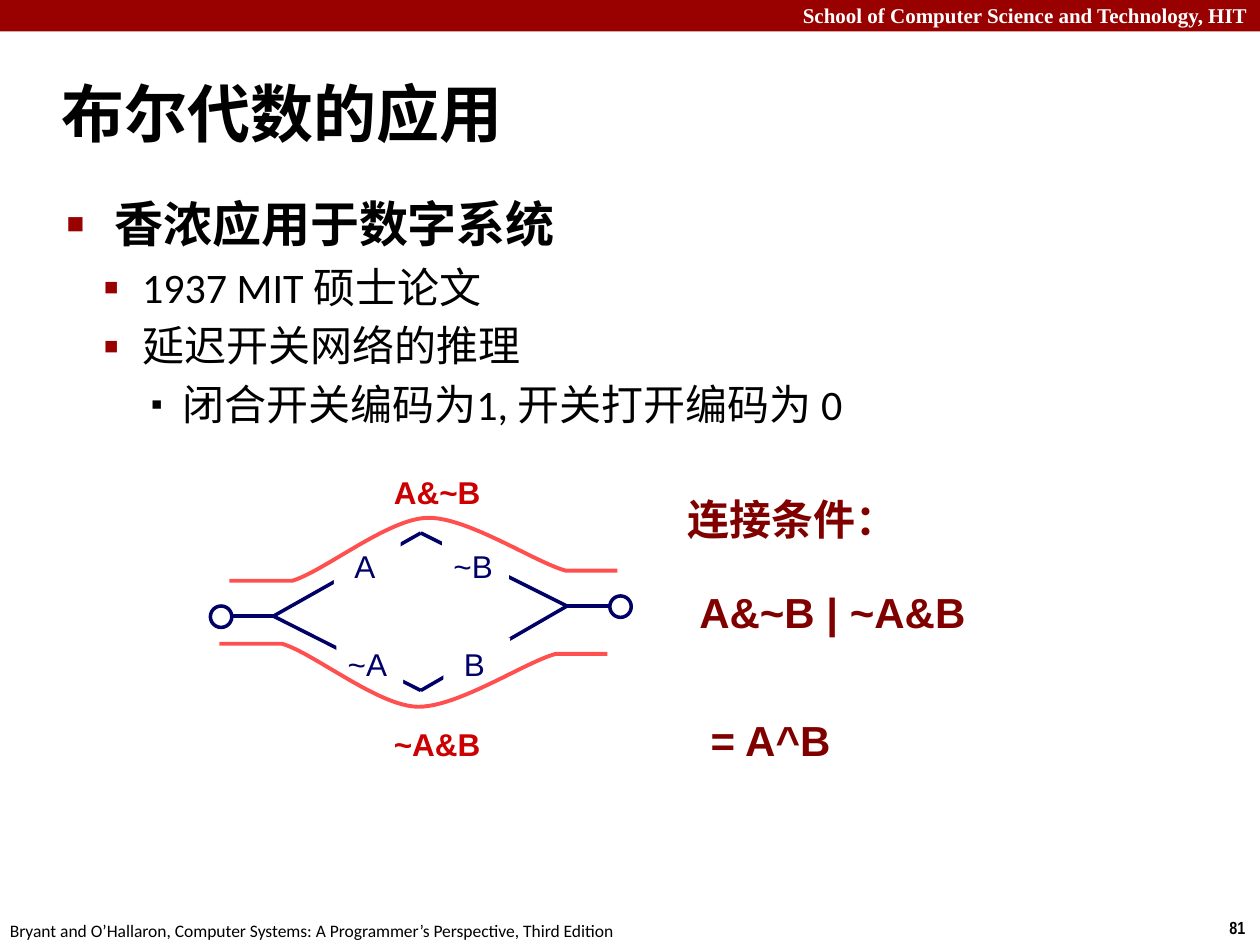
from lxml.etree import SubElement
from pptx import Presentation
from pptx.dml.color import RGBColor
from pptx.enum.shapes import MSO_CONNECTOR, MSO_SHAPE
from pptx.enum.text import MSO_ANCHOR, PP_ALIGN
from pptx.oxml.ns import qn
from pptx.util import Inches, Pt

COLORS = {"crimson": "990000", "white": "FFFFFF", "black": "000000", "navy": "000066",
          "path": "FF5050", "red": "CC0000", "maroon": "800000"}
LEFT, CENTER, RIGHT = PP_ALIGN.LEFT, PP_ALIGN.CENTER, PP_ALIGN.RIGHT
NORMAL_INSETS = (0.1, 0.05, 0.1, 0.05)
LABEL_INSETS = (0.06, 0.06, 0.05, 0.06)
SWITCH_INSETS = (0.06, 0.06, 0.1, 0.06)

BODY_FONT = {"name": "Calibri", "size": 24, "color": "black", "bold": False}
HEADING_FONT = {**BODY_FONT, "size": 28, "bold": True}
TITLE_FONT = {**BODY_FONT, "size": 36, "bold": True}
FOOTER_FONT = {**BODY_FONT, "size": 10}
PAGE_FONT = {"name": "Arial Narrow", "size": 10, "color": "black", "bold": True}
SCHOOL_FONT = {"name": "Times New Roman", "size": 12, "color": "white", "bold": True}
SWITCH_FONT = {"name": "Arial", "size": 18, "color": "navy", "bold": False}
PATH_FONT = {"name": "Arial", "size": 18, "color": "red", "bold": True}
RESULT_FONT = {"name": "Arial", "size": 24, "color": "maroon", "bold": True}

LABELS = [
    ("School of Computer Science and Technology, HIT", (0, -0.03, 10, 0.3), SCHOOL_FONT, RIGHT, NORMAL_INSETS, True),
    ("81", (9.66, 7.23, 0.34, 0.27), PAGE_FONT, LEFT, NORMAL_INSETS, False),
    ("Bryant and O’Hallaron, Computer Systems: A Programmer’s Perspective, Third Edition",
     (-0.02, 7.25, 5.08, 0.27), FOOTER_FONT, LEFT, NORMAL_INSETS, False),
    ("A&~B", (3.06, 3.69, 0.81, 0.42), PATH_FONT, CENTER, LABEL_INSETS, False),
    ("~A&B", (3.06, 5.69, 0.81, 0.42), PATH_FONT, CENTER, LABEL_INSETS, False),
    ("= A^B", (5.57, 5.61, 1.08, 0.51), RESULT_FONT, CENTER, LABEL_INSETS, False),
]
BULLETS = [
    ("香浓应用于数字系统", 0, HEADING_FONT),
    ("1937 MIT 硕士论文", 1, BODY_FONT),
    ("延迟开关网络的推理", 1, BODY_FONT),
    ("闭合开关编码为1, 开关打开编码为 0", 2, BODY_FONT),
]
LEVELS = [
    {"margin": 0.38, "indent": -0.38, "mark": "■", "scale": 60, "color": "crimson"},
    {"margin": 0.6, "indent": -0.31, "mark": "▪", "scale": 110, "color": "crimson"},
    {"margin": 0.92, "indent": -0.25, "mark": "▪", "scale": 80, "color": "black"},
]
CONDITIONS = [("连接条件：", 0, 0), ("A&~B | ~A&B", 0.09, 24)]

WEST, EAST, NORTH, SOUTH = (2.17, 4.89), (4.5, 4.81), (3.34, 4.23), (3.34, 5.48)
WIRES = [(WEST, NORTH), (WEST, SOUTH), (NORTH, EAST), (SOUTH, EAST),
         (EAST, (4.84, 4.81)), ((1.84, 4.89), WEST)]
SWITCHES = [("A", 2.65, 4.28), ("~A", 2.67, 5.06), ("~B", 3.51, 4.28), ("B", 3.52, 5.06)]
TERMINALS = [(1.67, 4.81), (4.84, 4.73)]
PATH_CURVES = [
    [(0.5, 0), (0.76, -0.08), (1.27, -0.5), (1.58, -0.5)],
    [(1.58, -0.5), (1.9, -0.5), (2.42, -0.15), (2.67, -0.08)],
]
PATHS = [(1.82, 4.61, 1), (1.74, 5.11, -1)]
CURVE_STEPS = 24


def color(name):
    return RGBColor.from_string(COLORS[name])


def inches(values):
    return [Inches(value) for value in values]


def write(paragraph, text, font, align=LEFT):
    paragraph.alignment = align
    run = paragraph.add_run()
    run.text = text
    formats = {"name": font["name"], "size": Pt(font["size"]), "bold": font["bold"]}
    for attribute, value in formats.items():
        setattr(run.font, attribute, value)
    run.font.color.rgb = color(font["color"])


def set_frame(shape, insets, wrap=True, anchor=MSO_ANCHOR.TOP):
    frame = shape.text_frame
    sides = ("margin_left", "margin_top", "margin_right", "margin_bottom")
    formats = {"word_wrap": wrap, "vertical_anchor": anchor, **dict(zip(sides, inches(insets)))}
    for attribute, value in formats.items():
        setattr(frame, attribute, value)
    return frame


def add_text(slide, box, insets, wrap=True, anchor=MSO_ANCHOR.TOP):
    return set_frame(slide.shapes.add_textbox(*inches(box)), insets, wrap, anchor)


def next_paragraph(frame, index):
    return frame.add_paragraph() if index else frame.paragraphs[0]


def paint(shape, fill=None, line=None, width=2):
    shape.shadow.inherit = False
    if fill:
        shape.fill.solid()
        shape.fill.fore_color.rgb = color(fill)
    else:
        shape.fill.background()
    if line:
        shape.line.color.rgb = color(line)
        shape.line.width = Pt(width)
    else:
        shape.line.fill.background()


def add_shape(slide, kind, box, fill, line=None):
    shape = slide.shapes.add_shape(kind, *inches(box))
    paint(shape, fill, line)
    return shape


def add_wire(slide, start, end):
    wire = slide.shapes.add_connector(MSO_CONNECTOR.STRAIGHT, *inches(start + end))
    wire.line.color.rgb = color("navy")
    wire.line.width = Pt(2)
    SubElement(wire.element.spPr, qn("a:effectLst"))


def set_bullet(paragraph, level):
    properties = paragraph._p.get_or_add_pPr()
    properties.set("marL", str(Inches(level["margin"])))
    properties.set("indent", str(Inches(level["indent"])))
    bullet_color = SubElement(properties, qn("a:buClr"))
    SubElement(bullet_color, qn("a:srgbClr"), val=COLORS[level["color"]])
    SubElement(properties, qn("a:buSzPct"), val=str(level["scale"] * 1000))
    SubElement(properties, qn("a:buFont"), typeface="Arial")
    SubElement(properties, qn("a:buChar"), char=level["mark"])


def curve_point(points, t):
    weights = ((1 - t) ** 3, 3 * t * (1 - t) ** 2, 3 * t * t * (1 - t), t ** 3)
    return tuple(sum(w * point[axis] for w, point in zip(weights, points)) for axis in (0, 1))


def add_path(slide, left, base, direction):
    offsets = [(0, 0)]
    for curve in PATH_CURVES:
        offsets += [curve_point(curve, step / CURVE_STEPS) for step in range(CURVE_STEPS + 1)]
    offsets.append((3.08, -0.08))
    points = [inches((left + x, base + direction * y)) for x, y in offsets]
    builder = slide.shapes.build_freeform(*points[0])
    builder.add_line_segments(points[1:], close=False)
    paint(builder.convert_to_shape(), line="path", width=2.25)


def main():
    presentation = Presentation()
    presentation.slide_width, presentation.slide_height = inches((10, 7.5))
    slide = presentation.slides.add_slide(presentation.slide_layouts[6])
    add_shape(slide, MSO_SHAPE.RECTANGLE, (0, 0, 10, 0.25), "crimson")

    title = add_text(slide, (0.39, 0.48, 9.61, 0.83), NORMAL_INSETS, anchor=MSO_ANCHOR.MIDDLE)
    write(title.paragraphs[0], "布尔代数的应用", TITLE_FONT)

    body = add_text(slide, (0.43, 1.49, 9.4, 2.1), NORMAL_INSETS)
    for index, (text, level, font) in enumerate(BULLETS):
        paragraph = next_paragraph(body, index)
        write(paragraph, text, font)
        paragraph.level = level
        paragraph.space_before = Pt(font["size"] * 0.2)
        set_bullet(paragraph, LEVELS[level])

    for start, end in WIRES:
        add_wire(slide, start, end)
    for text, left, top in SWITCHES:
        switch = add_shape(slide, MSO_SHAPE.RECTANGLE, (left, top, 0.53, 0.42), "white")
        write(set_frame(switch, SWITCH_INSETS).paragraphs[0], text, SWITCH_FONT, CENTER)
    for left, top in TERMINALS:
        add_shape(slide, MSO_SHAPE.OVAL, (left, top, 0.17, 0.17), "white", "navy")
    for left, base, direction in PATHS:
        add_path(slide, left, base, direction)

    conditions = add_text(slide, (5.4, 3.86, 2.37, 2.13), SWITCH_INSETS, wrap=False)
    for index, (text, margin, gap) in enumerate(CONDITIONS):
        paragraph = next_paragraph(conditions, index)
        write(paragraph, text, RESULT_FONT)
        paragraph.space_before = Pt(gap)
        paragraph._p.get_or_add_pPr().set("marL", str(Inches(margin)))

    for text, box, font, align, insets, wrap in LABELS:
        write(add_text(slide, box, insets, wrap).paragraphs[0], text, font, align)
    presentation.save("out.pptx")


if __name__ == "__main__":
    main()
